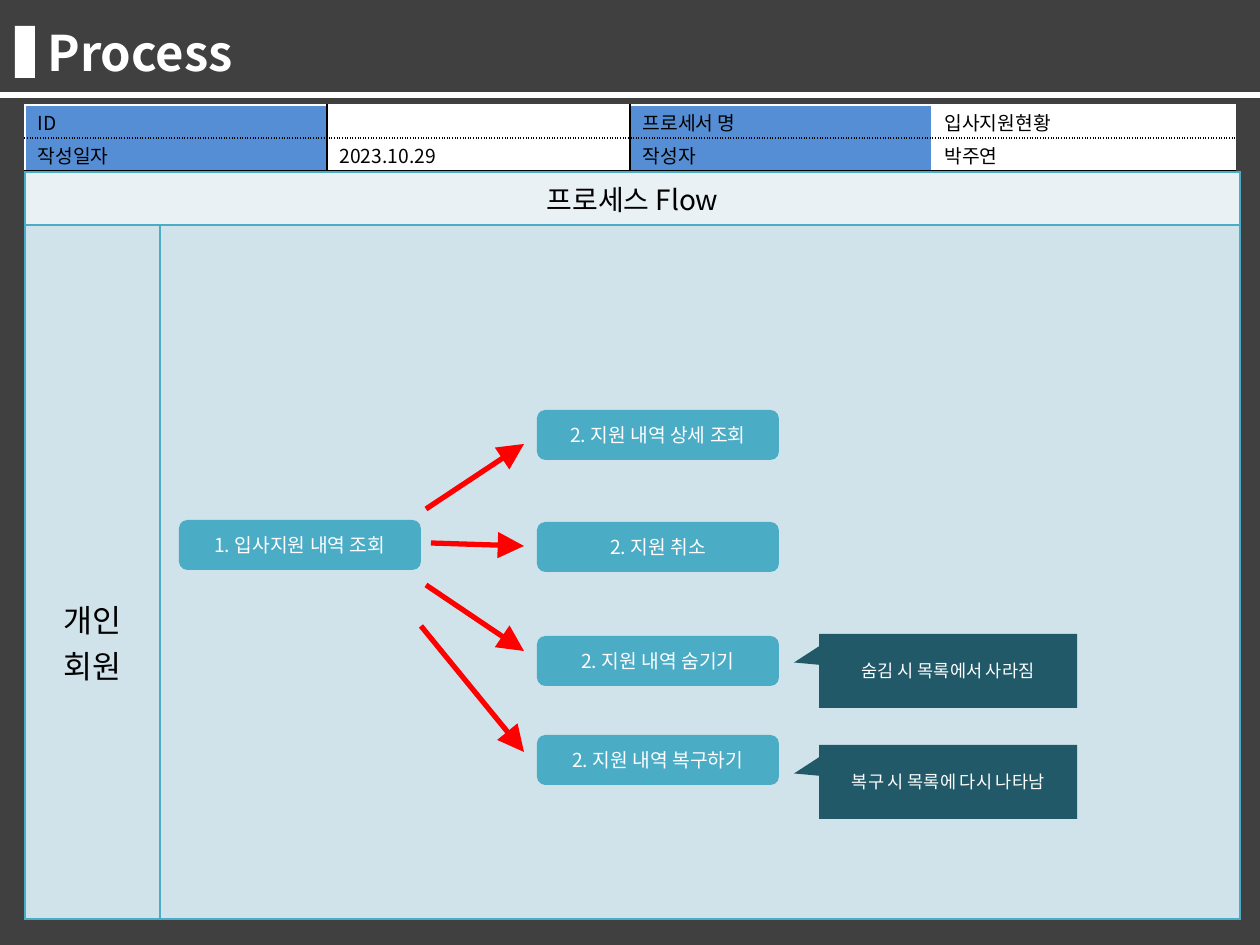
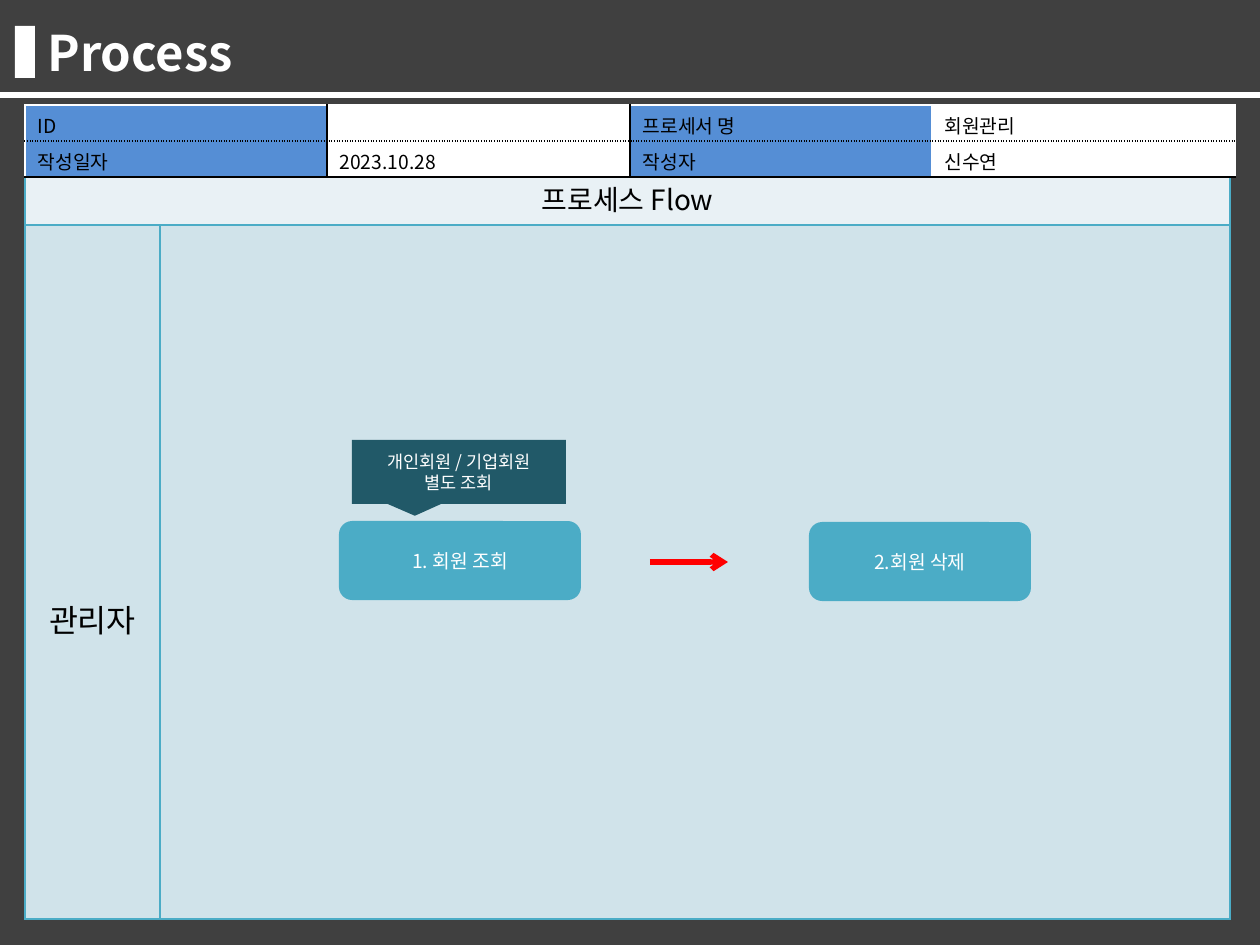
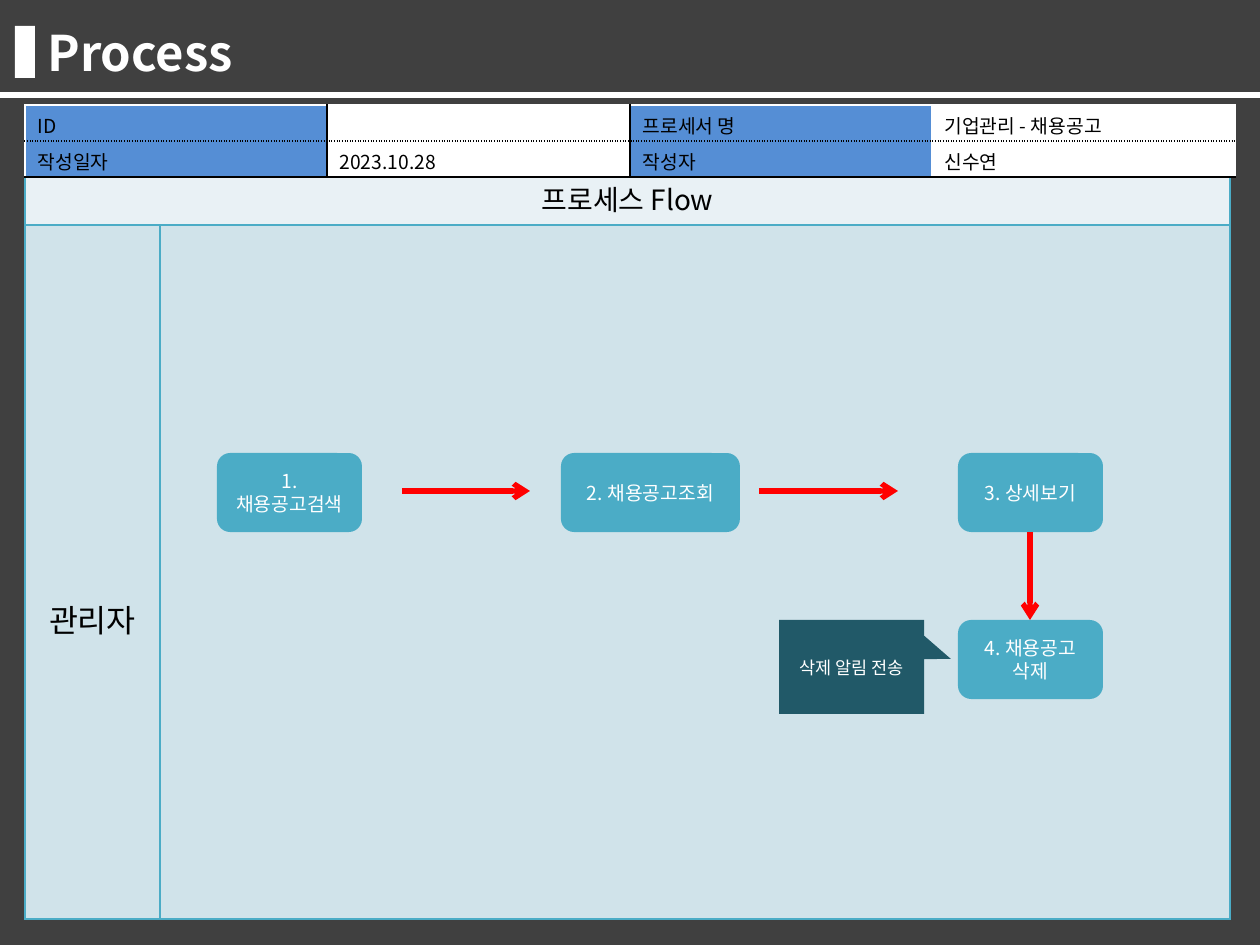
from dataclasses import dataclass

from lxml.etree import SubElement
from pptx import Presentation
from pptx.dml.color import RGBColor
from pptx.enum.shapes import MSO_CONNECTOR, MSO_SHAPE
from pptx.enum.text import MSO_ANCHOR, MSO_AUTO_SIZE, PP_ALIGN
from pptx.oxml.ns import qn
from pptx.shapes.autoshape import Shape
from pptx.slide import Slide
from pptx.table import Table, _Cell
from pptx.text.text import TextFrame
from pptx.util import Emu, Pt

FONT = "Noto Sans CJK KR"
WHITE = RGBColor(0xFF, 0xFF, 0xFF)
BLACK = RGBColor(0x00, 0x00, 0x00)
DARK = RGBColor(0x40, 0x40, 0x40)
BLUE = RGBColor(0x55, 0x8E, 0xD5)
TEAL = RGBColor(0x4B, 0xAC, 0xC6)
DEEP = RGBColor(0x21, 0x59, 0x68)
PALE = RGBColor(0xE9, 0xF1, 0xF5)
MIST = RGBColor(0xD0, 0xE3, 0xEA)
RED = RGBColor(0xFF, 0x00, 0x00)

WIDE, HIGH = 1260, 945
LEFT = 25
LINE_H = 28


@dataclass(frozen=True)
class Edge:
    color: RGBColor
    dash: str = "solid"


@dataclass(frozen=True)
class Step:
    text: str
    x: int
    y: int
    w: int = 242
    h: int = 79


@dataclass(frozen=True)
class Note:
    lines: tuple[str, ...]
    x: int
    y: int
    w: int
    h: int
    tip: tuple[float, float]


@dataclass(frozen=True)
class Arrow:
    x1: int
    y1: int
    x2: int
    y2: int
    head: str = "arrow"
    size: str = "med"


@dataclass(frozen=True)
class Page:
    name: str
    date: str
    writer: str
    role: tuple[str, ...]
    steps: tuple[Step, ...]
    notes: tuple[Note, ...]
    arrows: tuple[Arrow, ...]
    body: int = 1070
    row: int = 36
    flow_top: bool = False


STEP_H = 50
SIDE = (-0.597, -0.114)
BIG = ("triangle", "lg")

PAGES = (
    Page(
        "입사지원현황", "2023.10.29", "박주연", ("개인", "회원"),
        (
            Step("1. 입사지원 내역 조회", 179, 520, h=STEP_H),
            Step("2. 지원 내역 상세 조회", 537, 410, h=STEP_H),
            Step("2. 지원 취소", 537, 522, h=STEP_H),
            Step("2. 지원 내역 숨기기", 537, 636, h=STEP_H),
            Step("2. 지원 내역 복구하기", 537, 735, h=STEP_H),
        ),
        (
            Note(("숨김 시 목록에서 사라짐",), 819, 634, 258, 74, SIDE),
            Note(("복구 시 목록에 다시 나타남",), 819, 745, 258, 74, SIDE),
        ),
        (
            Arrow(426, 509, 524, 444, *BIG),
            Arrow(431, 543, 524, 546, *BIG),
            Arrow(426, 585, 524, 651, *BIG),
            Arrow(421, 626, 524, 752, *BIG),
        ),
        body=1080, row=33, flow_top=True,
    ),
    Page(
        "회원관리", "2023.10.28", "신수연", ("관리자",),
        (
            Step("1. 회원 조회", 339, 521),
            Step("2.회원 삭제", 809, 522, 222),
        ),
        (Note(("개인회원 / 기업회원", "별도 조회"), 352, 440, 214, 64, (-0.206, 0.685)),),
        (Arrow(650, 562, 728, 562),),
    ),
    Page(
        "기업관리 - 채용공고", "2023.10.28", "신수연", ("관리자",),
        (
            Step("1. 채용공고검색", 217, 453, 145),
            Step("2. 채용공고조회", 561, 453, 179),
            Step("3. 상세보기", 958, 453, 145),
            Step("4. 채용공고 삭제", 958, 620, 145),
        ),
        (Note(("삭제 알림 전송",), 779, 620, 145, 94, (0.685, -0.086)),),
        (
            Arrow(402, 491, 530, 491),
            Arrow(759, 491, 898, 491),
            Arrow(1030, 532, 1030, 620),
        ),
    ),
)


def px(count: int) -> Emu:
    return Emu(round(count * 914400 / 126))


def write(frame: TextFrame, lines: tuple[str, ...], size: int, color: RGBColor,
          align: PP_ALIGN = PP_ALIGN.CENTER, bold: bool = False) -> None:
    for i, line in enumerate(lines):
        para = frame.add_paragraph() if i else frame.paragraphs[0]
        para.alignment = align
        if not line:
            SubElement(para._p, qn("a:endParaRPr"), sz=str(size * 100))
            continue
        run = para.add_run()
        run.text = line
        run.font.size = Pt(size)
        run.font.bold = bold
        run.font.color.rgb = color
        run.font.name = FONT
        SubElement(run.font._element, qn("a:ea"), typeface=FONT)


def add_box(slide: Slide, kind: MSO_SHAPE, x: int, y: int, w: int, h: int,
            fill: RGBColor) -> Shape:
    box = slide.shapes.add_shape(kind, px(x), px(y), px(w), px(h))
    box.shadow.inherit = False
    box.fill.solid()
    box.fill.fore_color.rgb = fill
    box.line.fill.background()
    return box


def add_head(slide: Slide) -> None:
    title = slide.shapes.title
    back = add_box(slide, MSO_SHAPE.RECTANGLE, 0, 0, WIDE, HIGH, DARK)
    title.element.addprevious(back.element)
    title.left, title.top, title.width, title.height = map(px, (35, 16, 1131, 72))
    frame = title.text_frame
    frame.word_wrap = True
    frame.auto_size = MSO_AUTO_SIZE.SHAPE_TO_FIT_TEXT
    frame.vertical_anchor = MSO_ANCHOR.MIDDLE
    write(frame, ("Process",), 28, WHITE, PP_ALIGN.LEFT, True)
    add_box(slide, MSO_SHAPE.RECTANGLE, 15, 26, 20, 52, WHITE)
    add_box(slide, MSO_SHAPE.RECTANGLE, 0, 92, WIDE, 6, WHITE)


def add_grid(slide: Slide, y: int, cols: list[int], rows: list[int]) -> Table:
    frame = slide.shapes.add_table(len(rows), len(cols), px(LEFT), px(y),
                                   px(sum(cols)), px(sum(rows)))
    grid = frame.table
    grid.first_row = grid.horz_banding = False
    for col, w in zip(grid.columns, cols):
        col.width = px(w)
    for row, h in zip(grid.rows, rows):
        row.height = px(h)
    return grid


def style(cell: _Cell, fill: RGBColor, left: Edge, right: Edge, top: Edge,
          base: Edge) -> None:
    props = cell._tc.get_or_add_tcPr()
    for side, edge in zip("LRTB", (left, right, top, base)):
        line = SubElement(props, qn(f"a:ln{side}"), w=str(Pt(1)))
        paint = SubElement(line, qn("a:solidFill"))
        SubElement(paint, qn("a:srgbClr"), val=str(edge.color))
        SubElement(line, qn("a:prstDash"), val=edge.dash)
    cell.fill.solid()
    cell.fill.fore_color.rgb = fill


def add_info(slide: Slide, page: Page) -> None:
    grid = add_grid(slide, 105, [302, 303] * 2, [page.row] * 2)
    texts = (("ID", "", "프로세서 명", page.name),
             ("작성일자", page.date, "작성자", page.writer))
    white, black = Edge(WHITE), Edge(BLACK)
    ups = (white, black, black, white, white)
    flats = (white, Edge(BLACK, "sysDot"), black)
    for r, row in enumerate(texts):
        for c, text in enumerate(row):
            cell = grid.cell(r, c)
            style(cell, WHITE if c % 2 else BLUE, ups[c], ups[c + 1],
                  flats[r], flats[r + 1])
            cell.margin_top = px(page.row - LINE_H - 2)
            cell.margin_bottom = px(0)
            write(cell.text_frame, (text,), 11, BLACK, PP_ALIGN.LEFT)


def add_flow(slide: Slide, page: Page) -> None:
    grid = add_grid(slide, 172, [135, page.body], [53, 694])
    edge = Edge(TEAL)
    texts = ((("프로세스 Flow",), ("",)), (page.role, ("",)))
    for r, (row, fill, size) in enumerate(zip(texts, (PALE, MIST), (16, 18))):
        for c, lines in enumerate(row):
            cell = grid.cell(r, c)
            style(cell, fill, edge, edge, edge, edge)
            write(cell.text_frame, lines, size, BLACK)
    grid.cell(0, 0).merge(grid.cell(0, 1))
    grid.cell(1, 0).margin_top = px(371)


def add_step(slide: Slide, step: Step) -> None:
    box = add_box(slide, MSO_SHAPE.ROUNDED_RECTANGLE, step.x, step.y,
                  step.w, step.h, TEAL)
    write(box.text_frame, (step.text,), 11, WHITE)


def add_note(slide: Slide, note: Note) -> None:
    box = add_box(slide, MSO_SHAPE.RECTANGULAR_CALLOUT, note.x, note.y,
                  note.w, note.h, DEEP)
    box.adjustments[0], box.adjustments[1] = note.tip
    write(box.text_frame, note.lines, 10, WHITE)


def add_arrow(slide: Slide, arrow: Arrow) -> None:
    ends = map(px, (arrow.x1, arrow.y1, arrow.x2, arrow.y2))
    line = slide.shapes.add_connector(MSO_CONNECTOR.STRAIGHT, *ends)
    line.line.color.rgb = RED
    line.line.width = Pt(3)
    SubElement(line.line._get_or_add_ln(), qn("a:tailEnd"), type=arrow.head,
               w=arrow.size, len=arrow.size)
    SubElement(line.element.spPr, qn("a:effectLst"))


def main() -> None:
    deck = Presentation()
    deck.slide_width, deck.slide_height = px(WIDE), px(HIGH)
    for page in PAGES:
        slide = deck.slides.add_slide(deck.slide_layouts[5])
        add_head(slide)
        grids = (add_info, add_flow) if page.flow_top else (add_flow, add_info)
        for draw in grids:
            draw(slide, page)
        for step in page.steps:
            add_step(slide, step)
        for note in page.notes:
            add_note(slide, note)
        for arrow in page.arrows:
            add_arrow(slide, arrow)
    deck.save("out.pptx")


if __name__ == "__main__":
    main()
